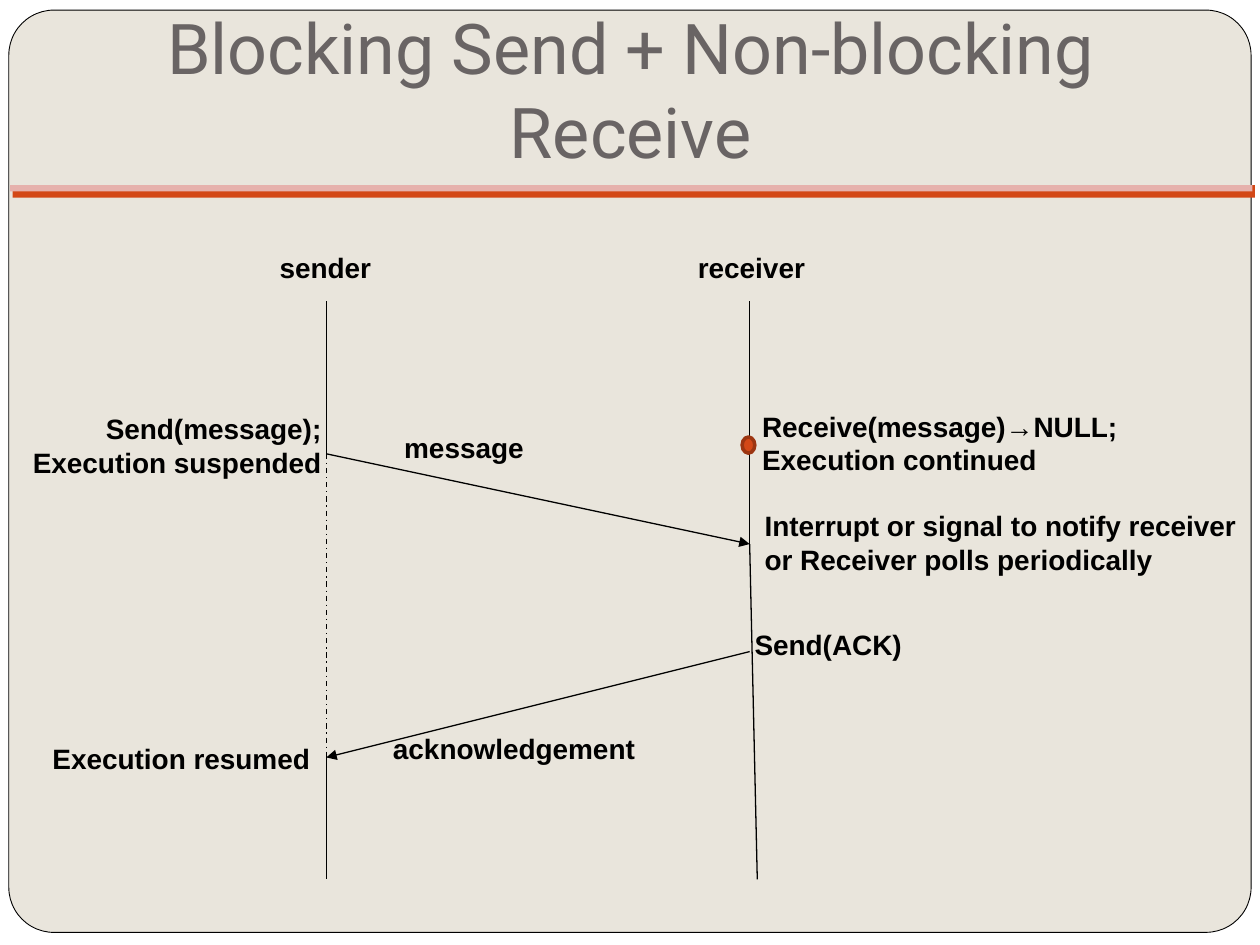
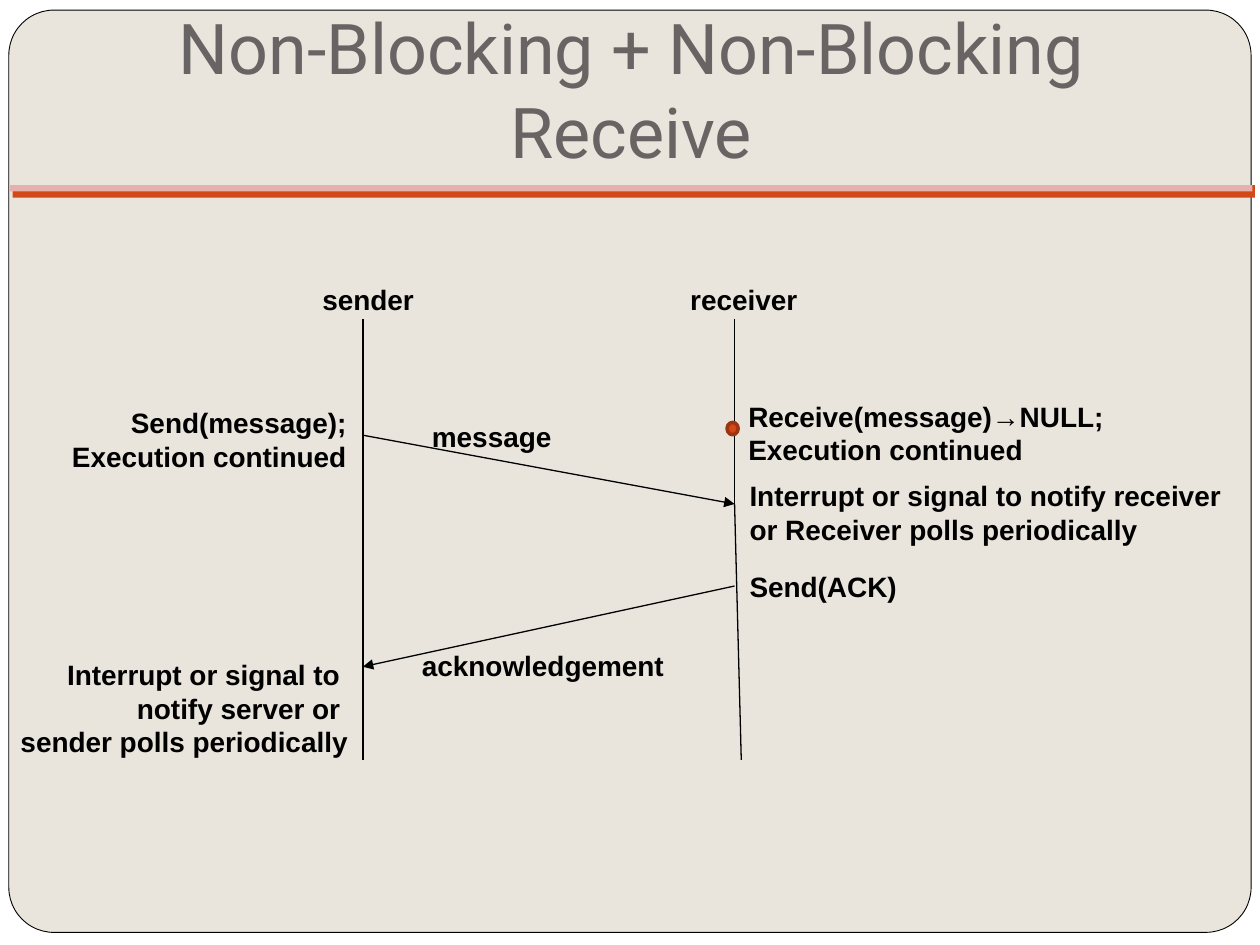
from lxml import etree
from pptx import Presentation
from pptx import util as u
from pptx.dml.color import RGBColor
from pptx.enum import dml, shapes, text
from pptx.oxml.ns import qn

INK, SAND, RUST = "000000", "E9E5DC", "D34817"
LEFT, RIGHT, MID = text.PP_ALIGN.LEFT, text.PP_ALIGN.RIGHT, text.PP_ALIGN.CENTER
KIND = shapes.MSO_SHAPE


def paint(item, fill, line=None, width=0.5):
    item.shadow.inherit = False
    item.fill.solid()
    item.fill.fore_color.rgb = RGBColor.from_string(fill)
    if line:
        item.line.color.rgb = RGBColor.from_string(line)
        item.line.width = u.Pt(width)
    else:
        item.line.fill.background()


def write(box, words, font="Arial", size=16, color=INK, bold=True, align=LEFT):
    """Fill a text frame, one paragraph for each line of words."""
    frame = box.text_frame
    frame.text = words
    frame.word_wrap = True
    frame.auto_size = text.MSO_AUTO_SIZE.NONE
    for para in frame.paragraphs:
        para.alignment = align
        para.font.name, para.font.size, para.font.bold = font, u.Pt(size), bold
        para.font.color.rgb = RGBColor.from_string(color)


# Rows of the time axis, as shares of its height
TOP, CHECK, SEND, ARRIVE, ACK, DONE, FOOT = 0, 0.211, 0.264, 0.42, 0.606, 0.789, 1
DOT = 0.235
# Columns, as shares of the gap between the two lanes
SELF, PEER, DRIFT = 0, 1, 1.018

# from column, from row, to column, to row, is an arrow
LINES = [
    (PEER, TOP, PEER, CHECK, False),
    (SELF, SEND, PEER, ARRIVE, True),
    (PEER, ARRIVE, DRIFT, FOOT, False),
    (PEER, ACK, SELF, DONE, True),
    (SELF, SEND, SELF, DONE, False),
    (PEER, CHECK, PEER, ARRIVE, False),
    (SELF, SEND, SELF, TOP, False),
    (SELF, DONE, SELF, FOOT, False),
]

GOT = "Receive(message)→NULL;\nExecution continued"
NOTE = "Interrupt or signal to notify receiver or Receiver polls periodically"

# axis: left, top, width, height; labels: words, left, top, width, height, align
PAGES = [
    dict(
        title="Blocking Send + Non-blocking Receive",
        place=(0.28, 9.45), axis=(2.59, 2.39, 3.36, 4.59), wait=True,
        labels=[
            ("Send(message);\nExecution suspended", 0.04, 3.22, 2.61, 0.64, RIGHT),
            ("message", 3.11, 3.37, 1.44, 0.49, LEFT),
            ("acknowledgement", 3.02, 5.76, 2.55, 0.49, LEFT),
            (GOT, 5.95, 3.2, 3.39, 0.64, LEFT),
            (NOTE, 5.97, 3.99, 3.99, 0.64, LEFT),
            ("Send(ACK)", 5.89, 4.93, 2.53, 0.49, LEFT),
            ("Execution resumed", 0.19, 5.84, 2.37, 0.37, RIGHT),
            ("sender", 2.12, 1.94, 1.35, 0.49, LEFT),
            ("receiver", 5.44, 1.94, 1.53, 0.49, LEFT),
        ],
    ),
    dict(
        title="Non-Blocking + Non-Blocking Receive",
        place=(0.45, 9.12), axis=(2.88, 2.53, 2.95, 3.5), wait=False,
        labels=[
            ("Send(message);\nExecution continued", 0.38, 3.17, 2.47, 0.64, RIGHT),
            ("message", 3.33, 3.28, 1.26, 0.37, LEFT),
            ("acknowledgement", 3.25, 5.1, 2.24, 0.37, LEFT),
            (GOT, 5.84, 3.12, 3.41, 0.64, LEFT),
            (NOTE, 5.85, 3.75, 4.19, 0.64, LEFT),
            ("Send(ACK)", 5.85, 4.47, 2.22, 0.37, LEFT),
            ("Interrupt or signal to \nnotify server or \nsender polls periodically",
             -0.43, 5.17, 3.29, 0.91, RIGHT),
            ("sender", 2.46, 2.19, 1.18, 0.37, LEFT),
            ("receiver", 5.38, 2.19, 1.34, 0.37, LEFT),
        ],
    ),
]

# kind, left, top, width, height, fill, line
FRAME = [
    (KIND.RECTANGLE, 0, 0, 10, 7.5, "FFFFFF", None),
    (KIND.ROUNDED_RECTANGLE, 0.07, 0.08, 9.86, 7.32, SAND, INK),
    (KIND.RECTANGLE, 0.1, 1.47, 9.86, 0.1, RUST, None),
    (KIND.RECTANGLE, 0.08, 1.47, 9.86, 0.05, "E6B1AC", None),
]

deck = Presentation()
deck.slide_width, deck.slide_height = u.Inches(10), u.Inches(7.5)
layout = deck.slide_layouts[5]
layout.background.fill.solid()
layout.background.fill.fore_color.rgb = RGBColor.from_string(SAND)
slides = [deck.slides.add_slide(layout) for page in PAGES]

# Layouts cannot add shapes, so the frame is made on a slide and moved
for spot, (kind, *area, fill, line) in enumerate(FRAME, 2):
    part = slides[0].shapes.add_shape(kind, *map(u.Inches, area))
    paint(part, fill, line)
    if kind == KIND.ROUNDED_RECTANGLE:
        part.adjustments[0] = 0.049
    layout.shapes._spTree.insert(spot, part._element)

for slide, page in zip(slides, PAGES):
    head = slide.shapes.title
    left, width = page["place"]
    head.left, head.top = u.Inches(left), u.Inches(0.44)
    head.width, head.height = u.Inches(width), u.Inches(1.03)
    write(head, page["title"], font="Roboto", size=40, color="696464",
          bold=False, align=MID)
    frame = head.text_frame
    frame.vertical_anchor = text.MSO_ANCHOR.BOTTOM
    frame.margin_left = frame.margin_right = frame.margin_bottom = u.Inches(0.1)
    frame.margin_top = u.Inches(0.05)

    chart = slide.shapes.add_group_shape().shapes
    x, y, wide, tall = page["axis"]
    for col, row, col2, row2, arrow in LINES:
        ends = x + col * wide, y + row * tall, x + col2 * wide, y + row2 * tall
        link = chart.add_connector(shapes.MSO_CONNECTOR.STRAIGHT, *map(u.Inches, ends))
        link.line.color.rgb = RGBColor.from_string(INK)
        link.line.width = u.Pt(0.75)
        if page["wait"] and (col, row, col2, row2) == (SELF, SEND, SELF, DONE):
            link.line.dash_style = dml.MSO_LINE.DASH_DOT
        if arrow:
            etree.SubElement(link.line._get_or_add_ln(), qn("a:tailEnd"), type="triangle")
        etree.SubElement(link._element.spPr, qn("a:effectLst"))

    area = x + wide - 0.06, y + DOT * tall, 0.03 * wide, 0.028 * tall
    dot = chart.add_shape(KIND.OVAL, *map(u.Inches, area))
    paint(dot, RUST, "9C3511", 2)

    for words, *area, align in page["labels"]:
        write(chart.add_textbox(*map(u.Inches, area)), words, align=align)

deck.save("out.pptx")
